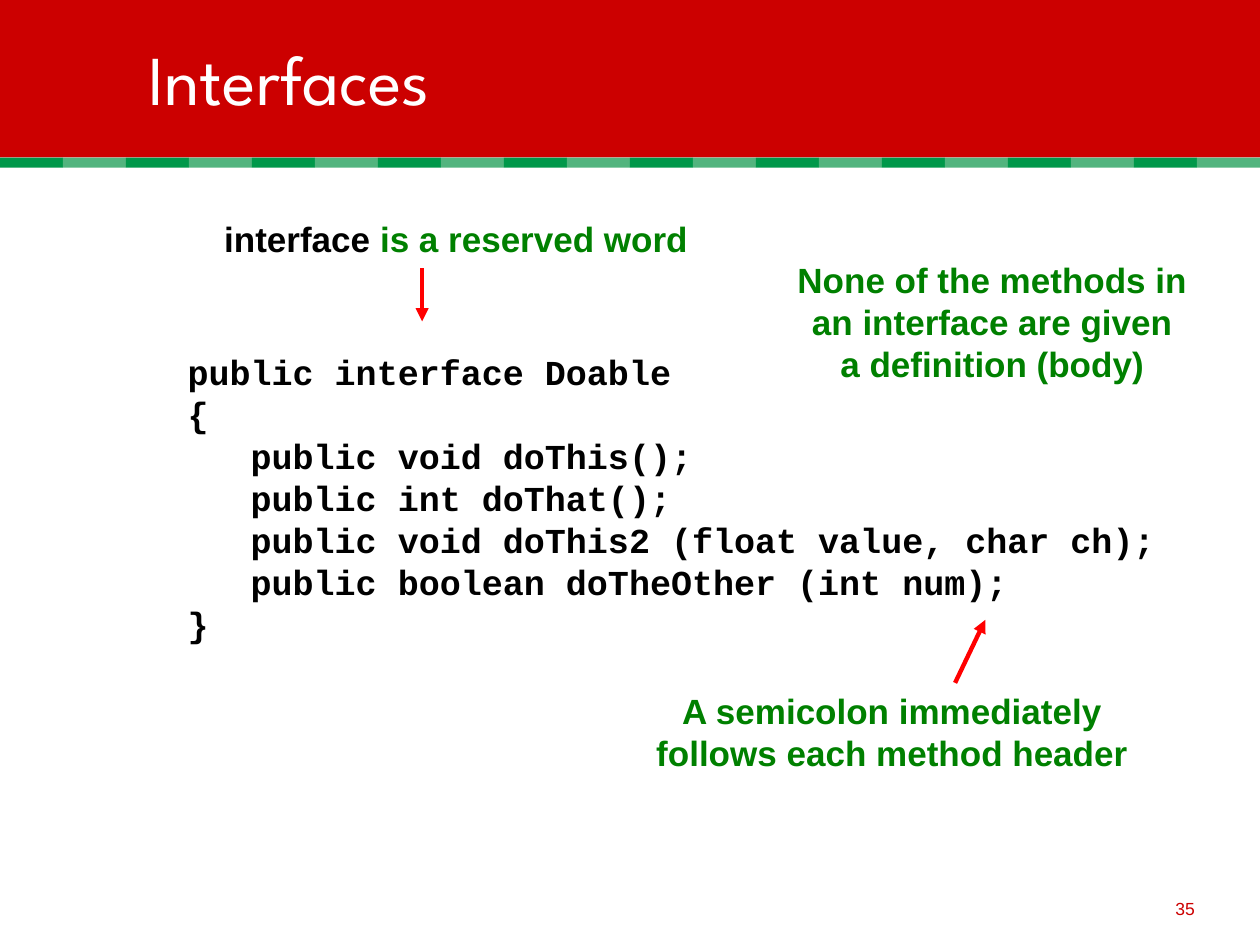
"""Build a slide on the syntax of Java interfaces."""
from dataclasses import dataclass

from lxml import etree
from pptx import Presentation
from pptx.dml.color import RGBColor
from pptx.enum import shapes, text
from pptx.oxml import ns
from pptx.util import Inches, Pt

RED = RGBColor(0xCC, 0x00, 0x00)
ARROW_RED = RGBColor(0xFF, 0x00, 0x00)
DARK_GREEN = RGBColor(0x00, 0x98, 0x4A)
LIGHT_GREEN = RGBColor(0x52, 0xB4, 0x7E)
NOTE_GREEN = RGBColor(0x00, 0x80, 0x00)
BLACK = RGBColor(0x00, 0x00, 0x00)
WHITE = RGBColor(0xFF, 0xFF, 0xFF)

BAND_HEIGHT = 1.25
STRIPE_WIDTH = 0.5
STRIPE_COUNT = 20

CODE = """public interface Doable
{
   public void doThis();
   public int doThat();
   public void doThis2 (float value, char ch);
   public boolean doTheOther (int num);
}"""


@dataclass(frozen=True)
class Box:
    left: float
    top: float
    width: float
    height: float

    def lengths(self) -> tuple:
        return tuple(map(Inches, (self.left, self.top, self.width, self.height)))


@dataclass(frozen=True)
class Label:
    box: Box
    content: str
    color: RGBColor = NOTE_GREEN
    font: str = "Arial"
    size: int = 20
    bold: bool = True
    align: text.PP_ALIGN = text.PP_ALIGN.CENTER
    anchor: text.MSO_ANCHOR = text.MSO_ANCHOR.MIDDLE
    wrap: bool = False
    lead: str = ""


@dataclass(frozen=True)
class Arrow:
    x1: float
    y1: float
    x2: float
    y2: float


LABELS = (
    Label(Box(1.39, 2.73, 7.88, 2.44), CODE, BLACK, "Courier New",
          align=text.PP_ALIGN.LEFT),
    Label(Box(1.68, 1.67, 3.88, 0.44), "is a reserved word", lead="interface "),
    Label(Box(6.23, 2, 3.29, 1.1),
          "None of the methods in\nan interface are given\na definition (body)"),
    Label(Box(5.11, 5.42, 3.94, 0.77),
          "A semicolon immediately\nfollows each method header"),
    Label(Box(7.5, 6.92, 2.08, 0.42), "35", RED, size=10, bold=False,
          align=text.PP_ALIGN.RIGHT, anchor=text.MSO_ANCHOR.BOTTOM, wrap=True),
)
ARROWS = (Arrow(3.35, 2.13, 3.35, 2.55), Arrow(7.58, 5.42, 7.82, 4.92))


def add_rect(s, box: Box, color: RGBColor) -> None:
    sp = s.shapes.add_shape(shapes.MSO_SHAPE.RECTANGLE, *box.lengths())
    sp.shadow.inherit = False
    sp.fill.solid()
    sp.fill.fore_color.rgb = color
    sp.line.fill.background()


def format_run(r, font: str, size: int, color: RGBColor, bold: bool) -> None:
    r.font.name = font
    r.font.size = Pt(size)
    r.font.bold = bold
    r.font.color.rgb = color


def add_label(s, label: Label) -> None:
    tf = s.shapes.add_textbox(*label.box.lengths()).text_frame
    tf.word_wrap = label.wrap
    tf.vertical_anchor = label.anchor
    tf.text = label.lead or label.content
    if label.lead:
        tf.paragraphs[0].add_run().text = label.content
    for p in tf.paragraphs:
        p.alignment = label.align
        for r in p.runs:
            color = BLACK if r.text == label.lead else label.color
            format_run(r, label.font, label.size, color, label.bold)


def add_arrow(s, arrow: Arrow) -> None:
    ends = map(Inches, (arrow.x1, arrow.y1, arrow.x2, arrow.y2))
    sp = s.shapes.add_connector(shapes.MSO_CONNECTOR.STRAIGHT, *ends)
    sp.line.color.rgb = ARROW_RED
    sp.line.width = Pt(2.5)
    etree.SubElement(sp.line._get_or_add_ln(), ns.qn("a:tailEnd"), type="triangle")
    etree.SubElement(sp.element.spPr, ns.qn("a:effectLst"))


def set_title(s, content: str, box: Box) -> None:
    sp = s.shapes.title
    sp.left, sp.top, sp.width, sp.height = box.lengths()
    sp.element.getparent().append(sp.element)
    tf = sp.text_frame
    tf.text = content
    tf.auto_size = text.MSO_AUTO_SIZE.NONE
    tf.vertical_anchor = text.MSO_ANCHOR.MIDDLE
    p = tf.paragraphs[0]
    p.alignment = text.PP_ALIGN.LEFT
    format_run(p.runs[0], "League Spartan", 40, WHITE, False)


def main() -> None:
    prs = Presentation()
    prs.slide_width, prs.slide_height = Inches(10), Inches(7.5)
    s = prs.slides.add_slide(prs.slide_layouts[5])
    add_rect(s, Box(0, 0, 10, BAND_HEIGHT), RED)
    for i in range(STRIPE_COUNT):
        stripe = Box(i * STRIPE_WIDTH, BAND_HEIGHT, STRIPE_WIDTH, 0.08)
        add_rect(s, stripe, LIGHT_GREEN if i % 2 else DARK_GREEN)
    set_title(s, "Interfaces", Box(1.08, 0.24, 8.67, 0.75))
    for label in LABELS:
        add_label(s, label)
    for arrow in ARROWS:
        add_arrow(s, arrow)
    prs.save("out.pptx")


if __name__ == "__main__":
    main()
